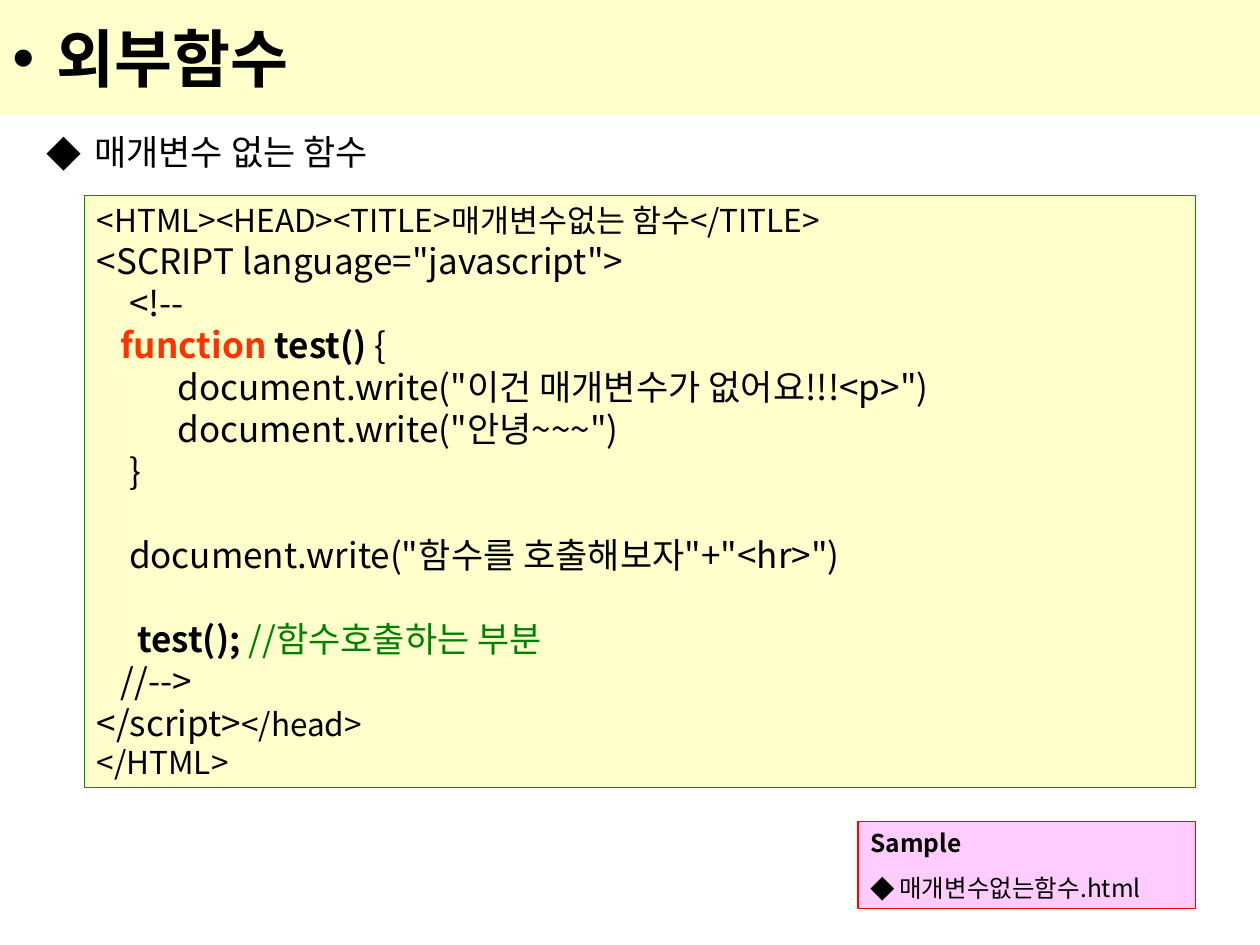
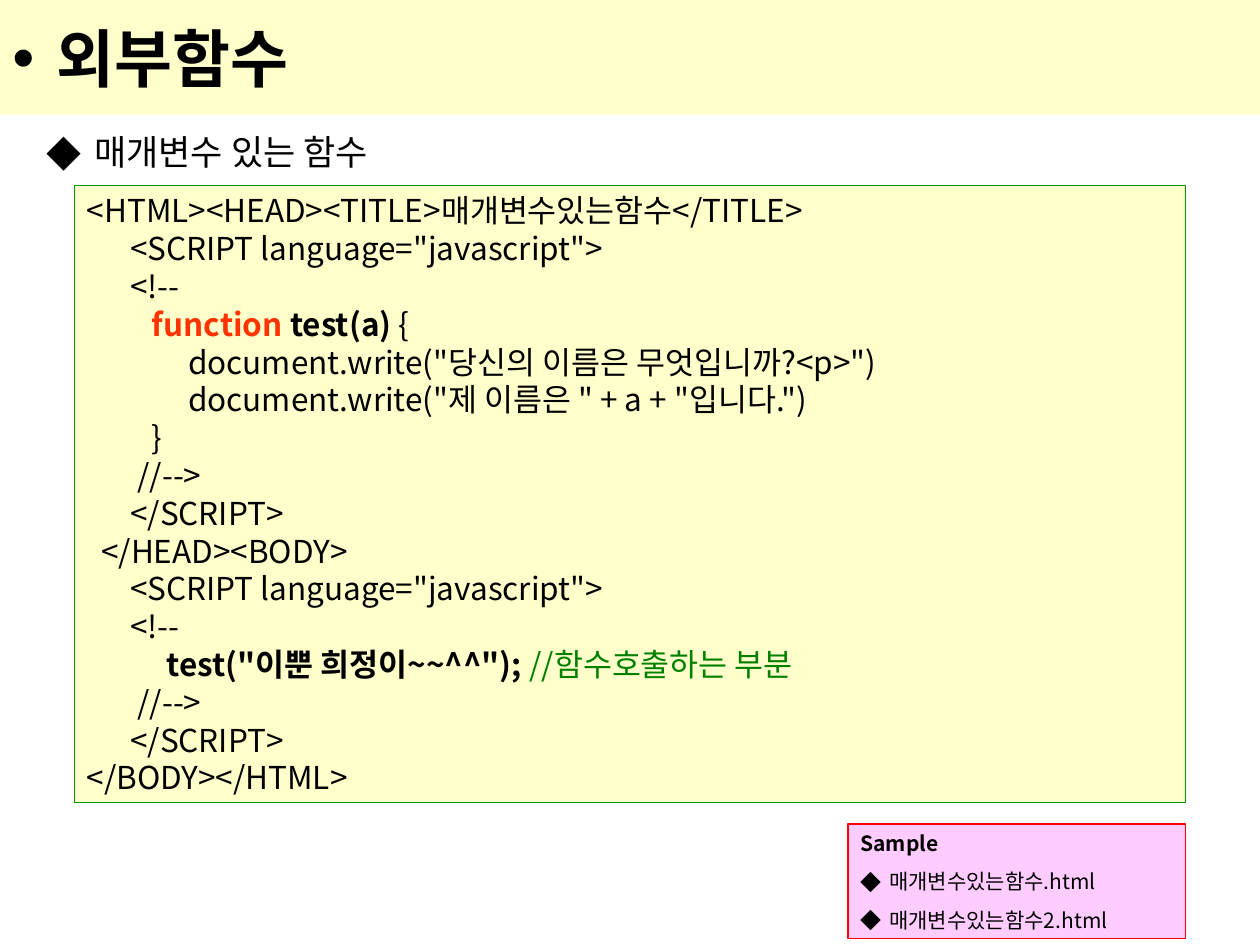
from dataclasses import dataclass
from lxml.etree import SubElement
from pptx import Presentation
from pptx.dml.color import RGBColor as RGB
from pptx.enum.shapes import MSO_SHAPE as SHAPE
from pptx.enum.text import MSO_ANCHOR as ANCHOR, PP_ALIGN as ALIGN
from pptx.oxml.ns import qn
from pptx.util import Emu, Inches, Pt


@dataclass(frozen=True)
class Theme:
    font: str = "Noto Sans CJK KR"
    title_bullet_font: str = "Arial"
    ink: str = "000000"
    cream: str = "FFFFCC"
    pink: str = "FFCCFF"
    code_border: str = "009900"
    sample_border: str = "FF0000"
    keyword: str = "FF3300"
    comment: str = "008000"
    title_size: int = 36
    topic_size: int = 20
    code_size: int = 20
    small_code_size: int = 18
    line_height: float = 1.2
    space_width: float = 0.23
    border: float = 0.75


@dataclass(frozen=True)
class Token:
    text: str
    color: str = Theme.ink
    bold: bool = False
    size: int = 0


@dataclass(frozen=True)
class Line:
    spaces: int
    tokens: tuple
    size: int = 0
    blank_before: bool = False


class Deck:
    COLUMNS, ROWS = 100, 75

    def __init__(self, theme):
        self.theme = theme
        self.show = Presentation()
        self.show.slide_width, self.show.slide_height = Inches(10), Inches(7.5)
        self.slide = None

    def new_slide(self):
        self.slide = self.show.slides.add_slide(self.show.slide_layouts[6])

    def place(self, column, row, columns, rows):
        width = self.show.slide_width / self.COLUMNS
        height = self.show.slide_height / self.ROWS
        return [Emu(round(v)) for v in
                (column * width, row * height, columns * width, rows * height)]

    def panel(self, area, fill, border=None, anchor=ANCHOR.TOP):
        panel = self.slide.shapes.add_shape(SHAPE.RECTANGLE, *self.place(*area))
        panel.shadow.inherit = False
        panel.fill.solid()
        panel.fill.fore_color.rgb = RGB.from_string(fill)
        if border:
            panel.line.color.rgb = RGB.from_string(border)
            panel.line.width = Pt(self.theme.border)
        else:
            panel.line.fill.background()
        return self.frame(panel, anchor)

    def frame(self, holder, anchor=ANCHOR.TOP):
        frame = holder.text_frame
        frame.word_wrap = True
        frame.vertical_anchor = anchor
        return frame

    def paragraph(self, frame, tokens, size, before=0, indent=0, bullet=None, bullet_font=None):
        first = frame.paragraphs[0]
        paragraph = frame.add_paragraph() if first.runs else first
        paragraph.alignment = ALIGN.LEFT
        paragraph.line_spacing = Pt(size * self.theme.line_height)
        paragraph.space_before = Pt(before)
        props = paragraph._p.get_or_add_pPr()
        props.set("marL", str(int(Inches(indent))))
        props.set("indent", str(-int(Inches(indent)) if bullet else 0))
        if bullet:
            color = SubElement(props, qn("a:buClr"))
            SubElement(color, qn("a:srgbClr"), val=self.theme.ink)
            SubElement(props, qn("a:buFont"), typeface=bullet_font or self.theme.font)
            SubElement(props, qn("a:buChar"), char=bullet)
        for token in tokens:
            self.run(paragraph, token, token.size or size)

    def run(self, paragraph, token, size):
        run = paragraph.add_run()
        run.text = token.text
        run.font.name = self.theme.font
        run.font.size = Pt(size)
        run.font.bold = token.bold
        run.font.color.rgb = RGB.from_string(token.color)
        SubElement(run._r.get_or_add_rPr(), qn("a:ea"), typeface=self.theme.font)

    def title(self, text):
        band = self.panel((0, 0, 100, 9.1), self.theme.cream, anchor=ANCHOR.MIDDLE)
        self.paragraph(band, [Token(text, bold=True)], self.theme.title_size,
                       indent=0.35, bullet="•", bullet_font=self.theme.title_bullet_font)

    def topic(self, text):
        topic = self.slide.shapes.add_textbox(*self.place(2.7, 9.9, 90, 5))
        self.paragraph(self.frame(topic), [Token(text)], self.theme.topic_size,
                       indent=0.38, bullet="◆")

    def code(self, area, lines, size):
        listing = self.panel(area, self.theme.cream, self.theme.code_border)
        for line in lines:
            line_size = line.size or size
            before = size * self.theme.line_height if line.blank_before else 0
            indent = line.spaces * self.theme.space_width * line_size / 72
            self.paragraph(listing, line.tokens, line_size, before, indent)

    def sample(self, area, files, size):
        sample = self.panel(area, self.theme.pink, self.theme.sample_border)
        self.paragraph(sample, [Token("Sample", bold=True)], size)
        for file in files:
            self.paragraph(sample, [Token(file)], size, size * 0.63, 0.23, "◆")


def plain(spaces, text, **options):
    return Line(spaces, (Token(text),), **options)


def declaration(spaces, signature):
    return Line(spaces, (Token("function ", Theme.keyword, True),
                         Token(signature, bold=True), Token(" {")))


def call(spaces, text, **options):
    return Line(spaces, (Token(text + " ", bold=True),
                         Token("//함수호출하는 부분", Theme.comment)), **options)


def main():
    theme = Theme()
    deck = Deck(theme)
    small = theme.small_code_size
    script_open = '<SCRIPT language="javascript">'

    without_parameter = [
        plain(0, "<HTML><HEAD><TITLE>매개변수없는 함수</TITLE>", size=small),
        plain(0, script_open),
        plain(4, "<!--"),
        declaration(3, "test()"),
        plain(10, 'document.write("이건 매개변수가 없어요!!!<p>")'),
        plain(10, 'document.write("안녕~~~")'),
        plain(4, "}"),
        plain(4, 'document.write("함수를 호출해보자"+"<hr>")', blank_before=True),
        call(5, "test();", blank_before=True),
        plain(3, "//-->"),
        Line(0, (Token("</script>"), Token("</head>", size=small))),
        plain(0, "</HTML>", size=small),
    ]
    with_parameter = [
        plain(0, "<HTML><HEAD><TITLE>매개변수있는함수</TITLE>"),
        plain(6, script_open),
        plain(6, "<!--"),
        declaration(9, "test(a)"),
        plain(14, 'document.write("당신의 이름은 무엇입니까?<p>")'),
        plain(14, 'document.write("제 이름은 " + a + "입니다.")'),
        plain(9, "}"),
        plain(7, "//-->"),
        plain(6, "</SCRIPT>"),
        plain(2, "</HEAD><BODY>"),
        plain(6, script_open),
        plain(6, "<!--"),
        call(11, 'test("이뿐 희정이~~^^");'),
        plain(7, "//-->"),
        plain(6, "</SCRIPT>"),
        plain(0, "</BODY></HTML>"),
    ]
    lessons = [
        ("매개변수 없는 함수", (6.7, 15.5, 88.2, 47), without_parameter, theme.code_size,
         (68.1, 65.2, 26.8, 6.9), ["매개변수없는함수.html"], 14),
        ("매개변수 있는 함수", (5.9, 14.7, 88.2, 49), with_parameter, small,
         (67.3, 65.4, 26.8, 9.1), ["매개변수있는함수.html", "매개변수있는함수2.html"], 12),
    ]
    for topic, code_area, lines, code_size, sample_area, files, sample_size in lessons:
        deck.new_slide()
        deck.title("외부함수")
        deck.topic(topic)
        deck.code(code_area, lines, code_size)
        deck.sample(sample_area, files, sample_size)
    deck.show.save("out.pptx")


if __name__ == "__main__":
    main()
